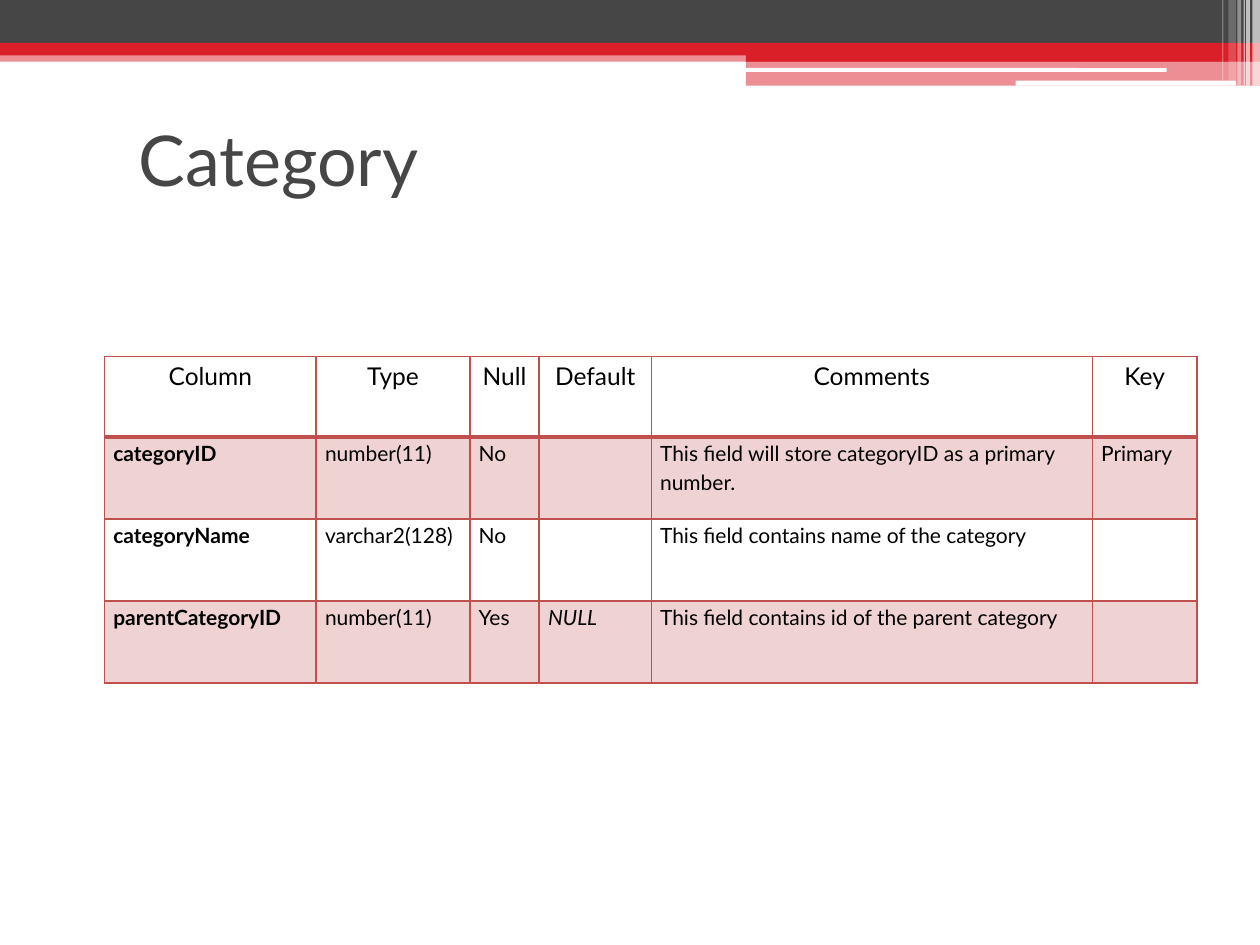
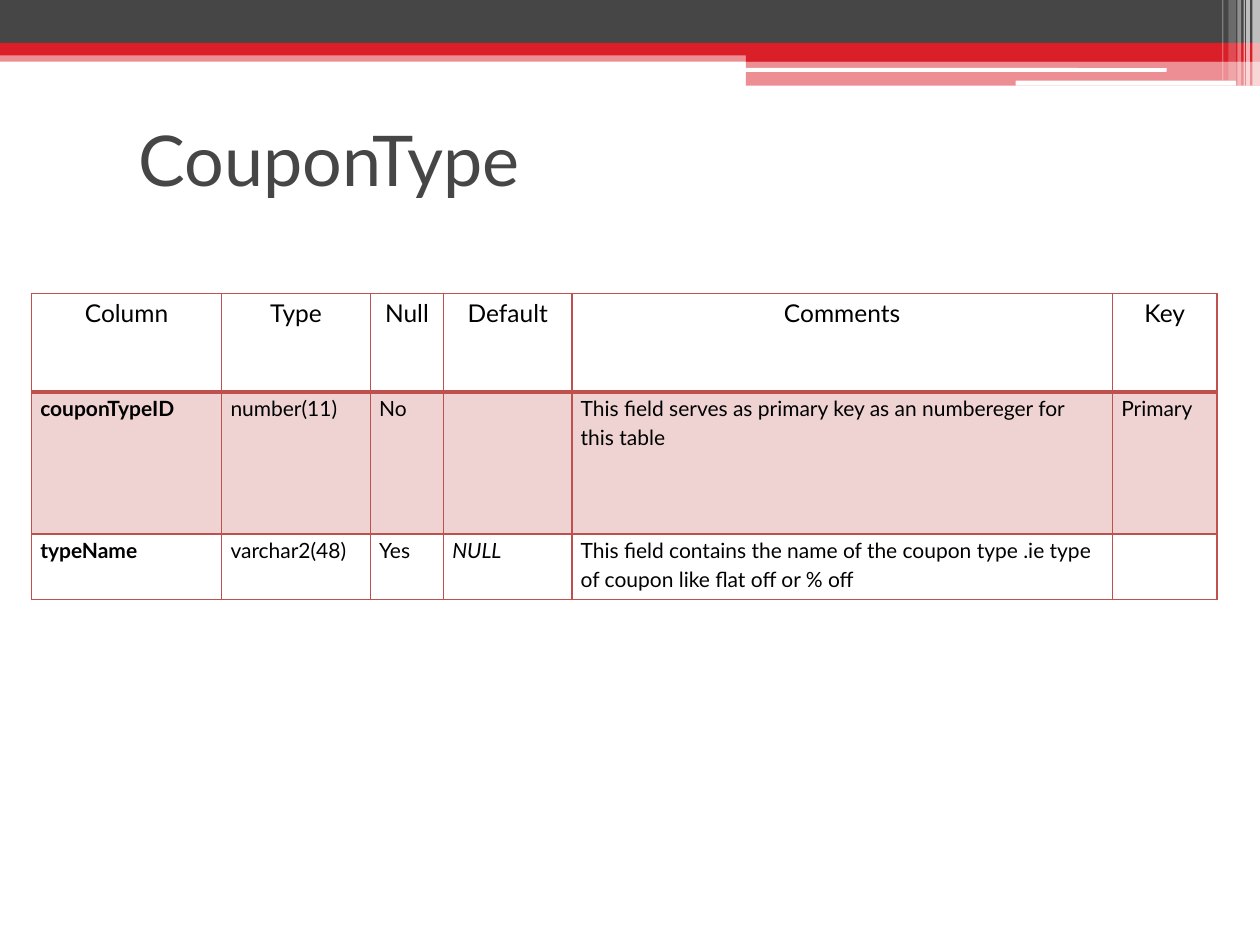
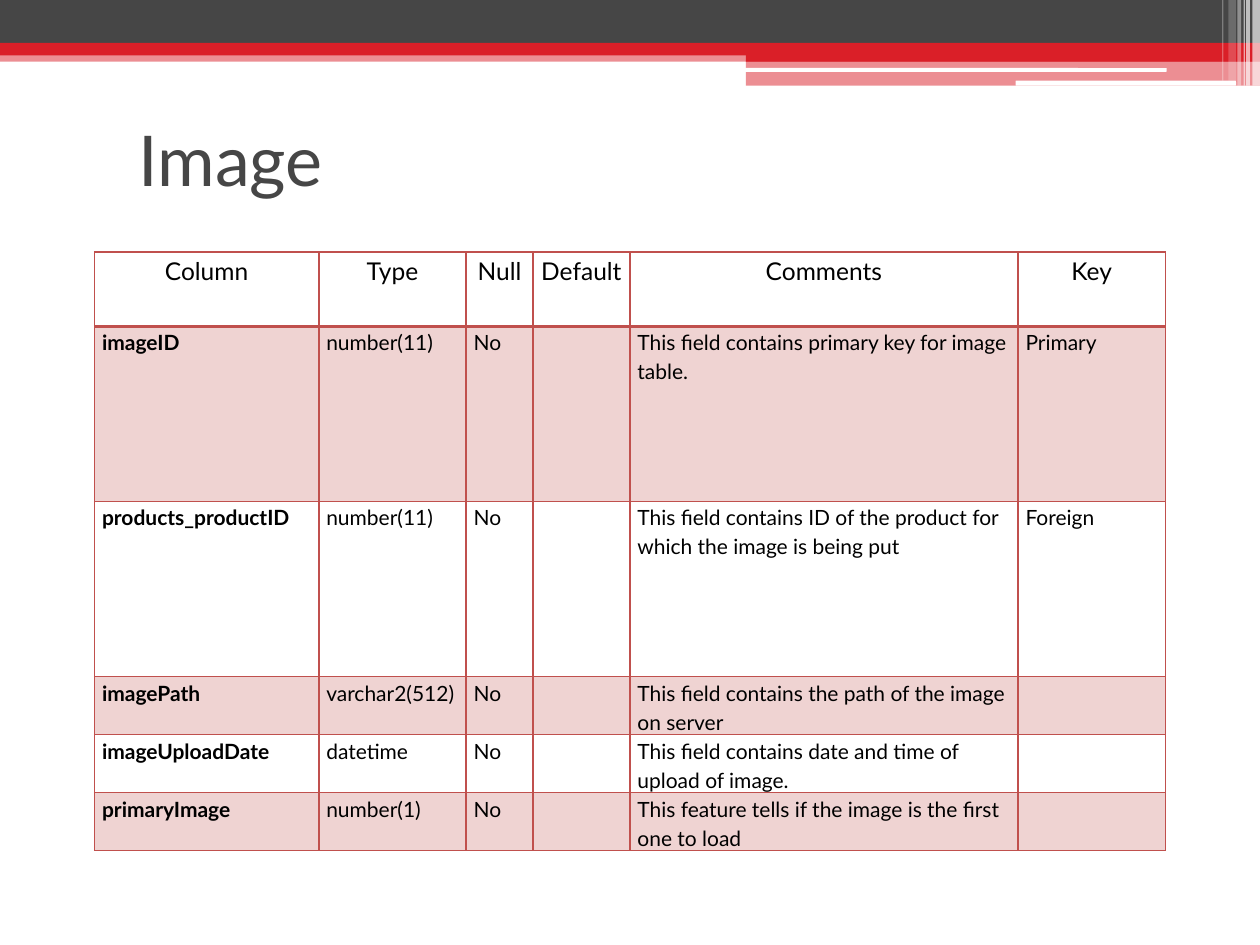
from lxml.etree import SubElement
from pptx import Presentation
from pptx.dml.color import RGBColor
from pptx.enum.shapes import MSO_SHAPE
from pptx.enum.text import MSO_ANCHOR, MSO_AUTO_SIZE, PP_ALIGN
from pptx.oxml.ns import qn
from pptx.util import Inches, Pt

WIDTH, HEIGHT = 10, 7.5
FONT = "Lato"
COLORS = {"dark": "464646", "red": "DA1F28", "white": "FFFFFF",
          "border": "C0504D", "tint": "EFD3D2", "text": "000000"}
THIN, THICK = 1, 2.25
TITLE_ONLY = 5

# Header bands: left, top, width, height, colour, opacity in percent
BANDS = [
    (0, 0.4, WIDTH, 0.09, "red", 50),
    (0, 0, WIDTH, 0.34, "dark", 100),
    (0, 0.34, WIDTH, 0.1, "red", 100),
    (5.92, 0.39, 4.08, 0.1, "red", 100),
    (5.92, 0.48, 4.08, 0.2, "red", 50),
]
# White slits cut into the lower band
SLITS = [(5.91, 0.54, 3.35, 0.03), (8.06, 0.64, 1.75, 0.04)]
# Vertical light stripes at the right edge: left, width, height, opacity
STRIPES = [(9.94, 0.06, 0.68, 65), (9.89, 0.03, 0.68, 65),
           (9.87, 0.01, 0.68, 60), (9.82, 0.03, 0.68, 40),
           (9.75, 0.06, 0.64, 20), (9.7, 0.01, 0.64, 30)]

HEADINGS = ("Column", "Type", "Null", "Default", "Comments", "Key")

# One entry per database table
ENTITIES = [
    {"title": "Category", "corner": (0.83, 2.83), "inset": 0.07,
     "columns": (1.68, 1.22, 0.55, 0.89, 3.5, 0.83),
     "rows": (0.64, 0.65, 0.65, 0.65),
     "fields": [
         ("categoryID", "number(11)", "No", "",
          "This field will store categoryID as a primary number.", "Primary"),
         ("categoryName", "varchar2(128)", "No", "",
          "This field contains name of the category", ""),
         ("parentCategoryID", "number(11)", "Yes", "NULL",
          "This field contains id of the parent category", "")]},
    {"title": "CouponType", "corner": (0.25, 2.33), "inset": 0.07,
     "columns": (1.51, 1.18, 0.58, 1.02, 4.29, 0.83),
     "rows": (0.78, 1.13, 0.52),
     "fields": [
         ("couponTypeID", "number(11)", "No", "",
          "This field serves as primary key as an numbereger for this table",
          "Primary"),
         ("typeName", "varchar2(48)", "Yes", "NULL",
          "This field contains the name of the coupon type .ie type of coupon "
          "like flat off or % off", "")]},
    {"title": "Image", "corner": (0.75, 2), "inset": 0.06,
     "columns": (1.78, 1.17, 0.53, 0.77, 3.08, 1.17),
     "rows": (0.59, 1.39, 1.39, 0.4, 0.4, 0.4),
     "fields": [
         ("imageID", "number(11)", "No", "",
          "This field contains primary key for image table.", "Primary"),
         ("products_productID", "number(11)", "No", "",
          "This field contains ID of the product for which the image is being "
          "put", "Foreign"),
         ("imagePath", "varchar2(512)", "No", "",
          "This field contains the path of the image on server", ""),
         ("imageUploadDate", "datetime", "No", "",
          "This field contains date and time of upload of image.", ""),
         ("primaryImage", "number(1)", "No", "",
          "This feature tells if the image is the first one to load", "")]},
]


def rgb(name):
    return RGBColor.from_string(COLORS[name])


def style_font(font, size, color, bold=False, italic=False):
    font.name, font.size = FONT, Pt(size)
    font.bold, font.italic = bold, italic
    font.color.rgb = rgb(color)


# Shared header
def add_band(slide, left, top, width, height, color, opacity=100,
             outline=MSO_SHAPE.RECTANGLE):
    band = slide.shapes.add_shape(outline, *map(Inches, (left, top, width, height)))
    band.shadow.inherit = False
    band.line.fill.background()
    band.fill.solid()
    band.fill.fore_color.rgb = rgb(color)
    if opacity < 100:
        tone = band.element.spPr.find(".//" + qn("a:srgbClr"))
        SubElement(tone, qn("a:alpha"), val=str(opacity * 1000))
    return band


def build_header(slide, layout):
    """Draw the header and hand it to the layout, so every slide shows it."""
    for footer in list(layout.placeholders)[1:]:
        footer.element.getparent().remove(footer.element)
    header = [add_band(slide, *band) for band in BANDS]
    header += [add_band(slide, *slit, "white", outline=MSO_SHAPE.ROUNDED_RECTANGLE)
               for slit in SLITS]
    header += [add_band(slide, left, 0, width, height, "white", opacity)
               for left, width, height, opacity in STRIPES]
    for part in header:
        layout.shapes.element.append(part.element)


# Title
def set_title(slide, wording):
    title = slide.shapes.title
    title.left, title.top = Inches(1), Inches(0.67)
    title.width, title.height = Inches(WIDTH - 1), Inches(1.17)
    frame = title.text_frame
    frame.text = wording
    frame.auto_size = MSO_AUTO_SIZE.NONE
    frame.vertical_anchor = MSO_ANCHOR.MIDDLE
    heading = frame.paragraphs[0]
    heading.alignment = PP_ALIGN.LEFT
    style_font(heading.font, 40, "dark")


# Field table
def set_borders(cell, top, bottom):
    properties = cell._tc.get_or_add_tcPr()
    for side, weight in (("L", THIN), ("R", THIN), ("T", top), ("B", bottom)):
        line = SubElement(properties, qn(f"a:ln{side}"), w=str(Pt(weight)))
        fill = SubElement(line, qn("a:solidFill"))
        SubElement(fill, qn("a:srgbClr"), val=COLORS["border"])


def fill_cell(cell, wording, row, column, inset):
    is_heading = row == 0
    set_borders(cell, top=THICK if row == 1 else THIN,
                bottom=THICK if is_heading else THIN)
    if row % 2:
        cell.fill.solid()
        cell.fill.fore_color.rgb = rgb("tint")
    else:
        cell.fill.background()
    cell.margin_left = cell.margin_right = Inches(inset)
    cell.margin_top = cell.margin_bottom = 0
    cell.text = wording
    entry = cell.text_frame.paragraphs[0]
    entry.line_spacing = 1.15
    entry.alignment = PP_ALIGN.CENTER if is_heading else PP_ALIGN.LEFT
    style_font(entry.font, 14 if is_heading else 12, "text",
               bold=column == 0 and not is_heading, italic=wording == "NULL")


def add_field_table(slide, entity):
    columns, rows = entity["columns"], entity["rows"]
    left, top = entity["corner"]
    table = slide.shapes.add_table(
        len(rows), len(columns), Inches(left), Inches(top),
        Inches(sum(columns)), Inches(sum(rows))).table
    table.first_row = table.horz_banding = False
    for column, width in zip(table.columns, columns):
        column.width = Inches(width)
    for row, height in zip(table.rows, rows):
        row.height = Inches(height)
    for r, record in enumerate([HEADINGS, *entity["fields"]]):
        for c, wording in enumerate(record):
            fill_cell(table.cell(r, c), wording, r, c, entity["inset"])


def main():
    deck = Presentation()
    deck.slide_width, deck.slide_height = Inches(WIDTH), Inches(HEIGHT)
    layout = deck.slide_layouts[TITLE_ONLY]
    for number, entity in enumerate(ENTITIES):
        slide = deck.slides.add_slide(layout)
        if number == 0:
            build_header(slide, layout)
        set_title(slide, entity["title"])
        add_field_table(slide, entity)
    deck.save("out.pptx")


if __name__ == "__main__":
    main()
